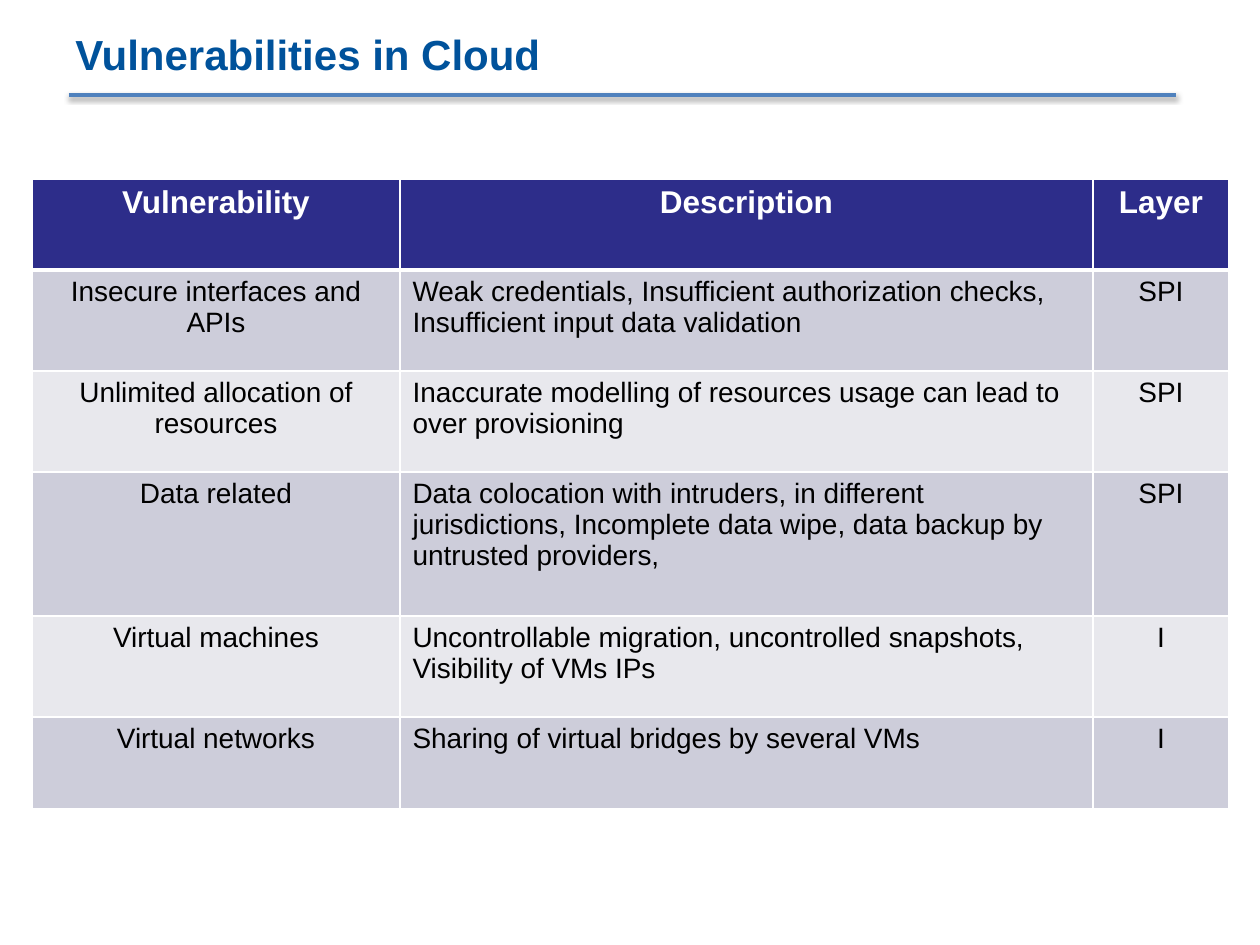
import pptx
import pptx.dml.color
import pptx.enum.shapes
import pptx.enum.text
import pptx.oxml
import pptx.oxml.ns
import pptx.util

EMU_PER_PX = 914400 / 126
FONT = "Arial"
WHITE, BLACK = "FFFFFF", "000000"
TITLE_BLUE, RULE_BLUE, HEADER_BLUE = "00529B", "4F81BD", "2D2D8A"
BANDS = ("E8E8ED", "CDCDDA")

COLUMN_WIDTHS = (368, 693, 136)
ROW_HEIGHTS = (91, 101, 101, 144, 101, 92)
VULNERABILITIES = (
    ("Vulnerability", "Description", "Layer"),
    ("Insecure interfaces and APIs",
     "Weak credentials, Insufficient authorization checks, "
     "Insufficient input data validation", "SPI"),
    ("Unlimited allocation of resources",
     "Inaccurate modelling of resources usage can lead to over provisioning",
     "SPI"),
    ("Data related",
     "Data colocation with intruders, in different jurisdictions, "
     "Incomplete data wipe, data backup by untrusted providers,", "SPI"),
    ("Virtual machines",
     "Uncontrollable migration, uncontrolled snapshots, Visibility of VMs IPs",
     "I"),
    ("Virtual networks", "Sharing of virtual bridges by several VMs", "I"),
)


def px(length):
    return pptx.util.Emu(round(length * EMU_PER_PX))


def color(hex_code):
    return pptx.dml.color.RGBColor.from_string(hex_code)


def write(frame, text, size, hex_code, bold):
    paragraph = frame.paragraphs[0]
    paragraph.text = text
    paragraph.font.name = FONT
    paragraph.font.size = pptx.util.Pt(size)
    paragraph.font.bold = bold
    paragraph.font.color.rgb = color(hex_code)
    return paragraph


def add_title(slide, text, left, top, width, height):
    title = slide.shapes.add_textbox(px(left), px(top), px(width), px(height))
    frame = title.text_frame
    frame.word_wrap = True
    frame.margin_left = frame.margin_right = pptx.util.Inches(0.05)
    write(frame, text, 24, TITLE_BLUE, True)


def add_rule(slide, left, right, y):
    rule = slide.shapes.add_connector(
        pptx.enum.shapes.MSO_CONNECTOR.STRAIGHT, px(left), px(y), px(right), px(y))
    rule.line.color.rgb = color(RULE_BLUE)
    rule.line.width = pptx.util.Pt(2)
    # Soft shadow straight below the line
    blur, distance = pptx.util.Pt(3.1), pptx.util.Pt(1.6)
    rule._element.spPr.append(pptx.oxml.parse_xml(
        f'<a:effectLst {pptx.oxml.ns.nsdecls("a")}>'
        f'<a:outerShdw blurRad="{blur}" dist="{distance}" dir="5400000" rotWithShape="0">'
        f'<a:srgbClr val="{BLACK}"><a:alpha val="38000"/></a:srgbClr>'
        '</a:outerShdw></a:effectLst>'))


def add_borders(cell, top, bottom):
    properties = cell._tc.get_or_add_tcPr()
    for side, points in (("L", 1), ("R", 1), ("T", top), ("B", bottom)):
        properties.append(pptx.oxml.parse_xml(
            f'<a:ln{side} {pptx.oxml.ns.nsdecls("a")} w="{pptx.util.Pt(points)}">'
            f'<a:solidFill><a:srgbClr val="{WHITE}"/></a:solidFill></a:ln{side}>'))


def fill_cell(cell, text, row, column):
    is_header = row == 0
    # The border between header and body is thicker
    add_borders(cell, top=3 if row == 1 else 1, bottom=3 if is_header else 1)
    cell.fill.solid()
    cell.fill.fore_color.rgb = color(HEADER_BLUE if is_header else BANDS[row % 2])
    paragraph = write(cell.text_frame, text, 18 if is_header else 16,
                      WHITE if is_header else BLACK, is_header)
    is_description = column == 1 and not is_header
    align = pptx.enum.text.PP_ALIGN
    paragraph.alignment = align.LEFT if is_description else align.CENTER


def add_vulnerability_table(slide, left, top):
    table = slide.shapes.add_table(
        len(ROW_HEIGHTS), len(COLUMN_WIDTHS), px(left), px(top),
        px(sum(COLUMN_WIDTHS)), px(sum(ROW_HEIGHTS))).table
    for column, width in zip(table.columns, COLUMN_WIDTHS):
        column.width = px(width)
    for row, height in zip(table.rows, ROW_HEIGHTS):
        row.height = px(height)
    for row, texts in enumerate(VULNERABILITIES):
        for column, text in enumerate(texts):
            fill_cell(table.cell(row, column), text, row, column)


def main():
    deck = pptx.Presentation()
    deck.slide_width, deck.slide_height = px(1260), px(945)
    slide = deck.slides.add_slide(deck.slide_layouts[6])

    # Heading with its rule
    add_title(slide, "Vulnerabilities in Cloud", 69, 22, 1149, 116)
    add_rule(slide, 69, 1176, 95)

    # Vulnerabilities by cloud layer
    add_vulnerability_table(slide, 32, 179)

    deck.save("out.pptx")


if __name__ == "__main__":
    main()
